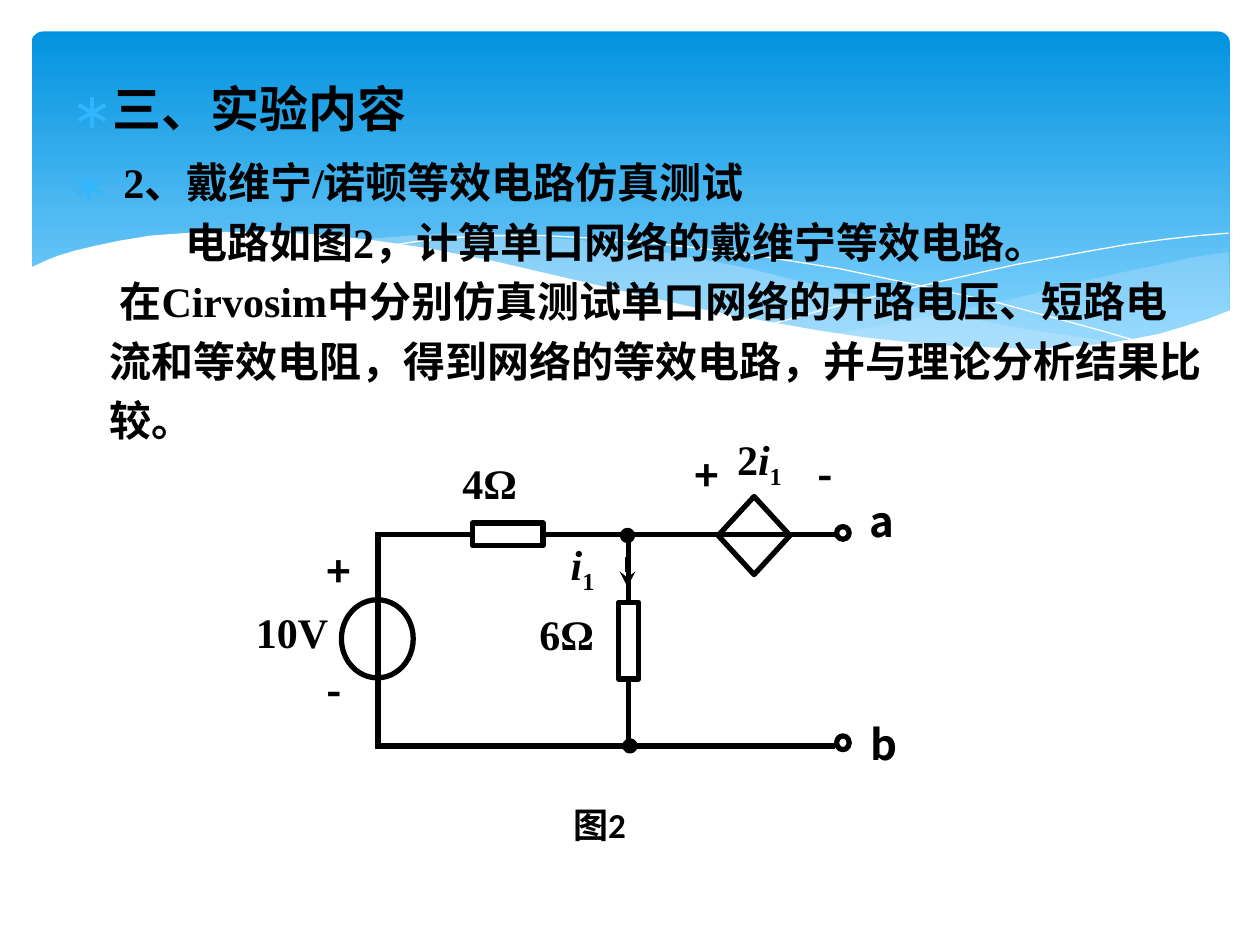
from lxml import etree
from pptx import Presentation
from pptx.dml.color import RGBColor
from pptx.enum.shapes import MSO_CONNECTOR, MSO_SHAPE
from pptx.enum.text import MSO_ANCHOR, MSO_AUTO_SIZE, PP_ALIGN
from pptx.oxml.ns import qn
from pptx.util import Inches, Pt

STRAIGHT = MSO_CONNECTOR.STRAIGHT
ROUNDED, RECT = MSO_SHAPE.ROUNDED_RECTANGLE, MSO_SHAPE.RECTANGLE
OVAL, DIAMOND = MSO_SHAPE.OVAL, MSO_SHAPE.DIAMOND
TOP, FIT_SHAPE, JUSTIFY = MSO_ANCHOR.TOP, MSO_AUTO_SIZE.SHAPE_TO_FIT_TEXT, PP_ALIGN.JUSTIFY

THEME = {
    "ink": "000000", "paper": "FFFFFF", "bullet": "31B6FD", "wave": "C6E7FC",
    "banner": ("0293E0", "83D3FE"),
    "cjk": "Noto Sans CJK SC", "serif": "Times New Roman", "sans": "Calibri",
    "title": 28, "body": 24, "caption": 20, "wire": 3, "leading": 34,
}

# Wave points are in hundredths of an inch.
WAVES = [
    ([(975, 200), (948, 204), (921, 210), (891, 216), (861, 223), (805, 237), (753, 248),
      (706, 257), (661, 265), (691, 269), (719, 272), (745, 275), (769, 277), (803, 278),
      (835, 277), (863, 275), (889, 272), (913, 267), (935, 262), (949, 257), (963, 252),
      (976, 247)], "wave", 29),
    ([(893, 273), (866, 269), (807, 260), (741, 247), (668, 231), (629, 222), (598, 214),
      (569, 208), (541, 203), (514, 198), (489, 194), (465, 191), (442, 189), (399, 186),
      (361, 185), (328, 187), (299, 189), (286, 191), (323, 196), (362, 203), (404, 211),
      (449, 222), (491, 232), (530, 240), (566, 248), (601, 255), (634, 261), (665, 266),
      (695, 270), (722, 274), (748, 276), (785, 278), (828, 278), (867, 276)], "wave", 40),
    ([(309, 195), (328, 192), (353, 189), (387, 187), (433, 187), (469, 189), (510, 192),
      (556, 197), (608, 204), (665, 213), (727, 226), (795, 241), (869, 261), (907, 272)],
     None, None),
    ([(613, 257), (653, 246), (695, 235), (748, 223), (806, 210), (866, 199), (895, 194),
      (924, 190), (951, 187), (975, 185)], None, None),
    ([(977, 246), (959, 253), (940, 259), (920, 265), (899, 269), (875, 273), (850, 275),
      (823, 277), (793, 276), (761, 275), (726, 272), (688, 268), (648, 262), (603, 254),
      (555, 245), (503, 233), (447, 220), (391, 207), (340, 197), (292, 190), (250, 186),
      (211, 184), (177, 184), (146, 185), (119, 187), (95, 191), (76, 195), (59, 199),
      (46, 203), (36, 207), (23, 213), (23, 329), (977, 329)], "paper", 100),
]

PARAGRAPHS = [
    {"text": "三、实验内容", "size": "title", "font": "cjk", "margin": 0.3, "indent": -0.3,
     "bullet": True, "after": 6},
    {"text": "2、戴维宁/诺顿等效电路仿真测试", "size": "body", "font": "serif",
     "margin": 0.41, "indent": -0.41, "bullet": True},
    {"text": "电路如图2，计算单口网络的戴维宁等效电路。", "size": "body", "font": "serif",
     "margin": 0.3, "indent": 0.6},
    {"text": "在Cirvosim中分别仿真测试单口网络的开路电压、短路电流和等效电阻，"
             "得到网络的等效电路，并与理论分析结果比较。",
     "size": "body", "font": "serif", "margin": 0.3, "indent": 0.08},
]

UPPER, LOWER, LEFT, BRANCH, PORT = 4.24, 5.92, 3, 4.99, 6.63

PARTS = {
    "series resistor": (RECT, 3.75, 4.15, 0.56, 0.18, "paper"),
    "branch resistor": (RECT, 4.91, 4.78, 0.16, 0.61, "paper"),
    "voltage source": (OVAL, 2.71, 4.76, 0.57, 0.62, None),
    "dependent source": (DIAMOND, 5.7, 3.94, 0.57, 0.62, None),
    "upper node": (OVAL, 4.94, 4.21, 0.08, 0.08, "ink"),
    "lower node": (OVAL, 4.96, 5.88, 0.08, 0.08, "ink"),
    "port a": (OVAL, 6.64, 4.18, 0.1, 0.1, None),
    "port b": (OVAL, 6.64, 5.84, 0.1, 0.11, None),
}

WIRES = [
    ((2.98, UPPER), (3.75, UPPER), None, ("series resistor", 1)),
    ((4.31, UPPER), (PORT, UPPER), ("series resistor", 3), None),
    ((2.98, LOWER), (PORT, LOWER), None, None),
    ((LEFT, UPPER), (LEFT, LOWER), None, None),
    ((BRANCH, UPPER), (BRANCH, 4.78), None, ("branch resistor", 0)),
    ((BRANCH, 5.39), (BRANCH, LOWER), ("branch resistor", 2), None),
]
CURRENT_ARROW = ((4.98, 4.42), (4.98, 4.66))

LABELS = [
    ("+", 2.59, 4.33, 0.39, 0.42, "cjk"),
    ("-", 2.59, 5.27, 0.39, 0.42, "cjk"),
    ("+", 5.51, 3.57, 0.39, 0.42, "cjk"),
    ("-", 6.49, 3.56, 0.39, 0.42, "cjk"),
    ("a", 6.9, 3.93, 0.39, 0.42, "cjk"),
    ("b", 6.91, 5.7, 0.39, 0.42, "cjk"),
    ("4Ω", 3.67, 3.63, 0.59, 0.46, "serif"),
    ("6Ω", 4.28, 4.83, 0.59, 0.52, "serif"),
    ("10V", 2.03, 4.81, 0.68, 0.52, "serif"),
    (("2", "i", "1"), 5.85, 3.44, 0.49, 0.52, "serif"),
    (("", "i", "1"), 4.53, 4.27, 0.34, 0.52, "serif"),
]


def color(name):
    return RGBColor.from_string(THEME.get(name, name))


def style_run(span, size, font):
    span.font.size, span.font.bold, span.font.name = Pt(THEME[size]), True, THEME[font]
    span.font.color.rgb = color("ink")
    etree.SubElement(span.font._element, qn("a:ea"), typeface=THEME["cjk"])


def add_bullet(properties):
    tint = etree.SubElement(properties, qn("a:buClr"))
    etree.SubElement(tint, qn("a:srgbClr"), val=THEME["bullet"])
    etree.SubElement(properties, qn("a:buFont"), typeface=THEME["cjk"])
    etree.SubElement(properties, qn("a:buChar"), char="∗")


def add_box(page, left, top, width, height, inset=0):
    box = page.shapes.add_textbox(*map(Inches, (left, top, width, height)))
    frame = box.text_frame
    frame.word_wrap, frame.vertical_anchor = True, TOP
    frame.margin_left = frame.margin_right = Inches(inset)
    frame.margin_top = frame.margin_bottom = Inches(inset / 2)
    return frame


def draw_background(page):
    banner = page.shapes.add_shape(ROUNDED, *map(Inches, (0.25, 0.25, 9.51, 2.7)))
    banner.adjustments[0] = 0.034
    banner.shadow.inherit = False
    banner.line.fill.background()
    banner.fill.gradient()
    banner.fill.gradient_angle = 270
    for stop, position, tint in zip(banner.fill.gradient_stops, (0, 0.9), THEME["banner"]):
        stop.position, stop.color.rgb = position, color(tint)
    for points, tint, opacity in WAVES:
        builder = page.shapes.build_freeform(*points[0], scale=Inches(0.01))
        builder.add_line_segments(points[1:], close=tint is not None)
        wave = builder.convert_to_shape()
        wave.shadow.inherit = False
        if tint is None:
            wave.fill.background()
            wave.line.color.rgb, wave.line.width = color("paper"), Pt(0)
            continue
        wave.line.fill.background()
        wave.fill.solid()
        wave.fill.fore_color.rgb = color(tint)
        if opacity < 100:
            value = wave._element.spPr.find(".//" + qn("a:srgbClr"))
            etree.SubElement(value, qn("a:alpha"), val=str(opacity * 1000))


def draw_body(page):
    frame = add_box(page, 0.47, 0.62, 9.18, 2.99, 0.1)
    frame.margin_top = frame.margin_bottom = 0
    for index, item in enumerate(PARAGRAPHS):
        para = frame.add_paragraph() if index else frame.paragraphs[0]
        para.text = item["text"]
        properties = para._p.get_or_add_pPr()
        properties.set("marL", str(Inches(item["margin"])))
        properties.set("indent", str(Inches(item["indent"])))
        if item.get("bullet"):
            add_bullet(properties)
        if index:
            para.line_spacing = Pt(THEME["leading"])
        para.space_after = Pt(item.get("after", 0))
        style_run(para.runs[0], item["size"], item["font"])


def add_wire(page, start, end):
    wire = page.shapes.add_connector(STRAIGHT, *map(Inches, start + end))
    wire.line.color.rgb, wire.line.width = color("ink"), Pt(THEME["wire"])
    etree.SubElement(wire._element.spPr, qn("a:effectLst"))
    return wire


def draw_circuit(page):
    parts = {}
    for name, (kind, left, top, width, height, fill) in PARTS.items():
        part = page.shapes.add_shape(kind, *map(Inches, (left, top, width, height)))
        part.shadow.inherit = False
        part.line.color.rgb, part.line.width = color("ink"), Pt(THEME["wire"])
        if fill:
            part.fill.solid()
            part.fill.fore_color.rgb = color(fill)
        else:
            part.fill.background()
        parts[name] = part
    for start, end, source, target in WIRES:
        wire = add_wire(page, start, end)
        if source:
            wire.begin_connect(parts[source[0]], source[1])
        if target:
            wire.end_connect(parts[target[0]], target[1])
    arrow = add_wire(page, *CURRENT_ARROW)
    etree.SubElement(arrow.line._get_or_add_ln(), qn("a:tailEnd"), type="stealth")


def draw_labels(page):
    for content, left, top, width, height, font in LABELS:
        para = add_box(page, left, top, width, height).paragraphs[0]
        para.alignment = JUSTIFY
        pieces = (content,) if isinstance(content, str) else content
        for position, piece in enumerate(pieces):
            if not piece:
                continue
            span = para.add_run()
            span.text = piece
            style_run(span, "body", font)
            span.font.italic = position == 1
            if position == 2:
                span.font._element.set("baseline", "-25000")
    frame = add_box(page, 4.45, 6.33, 0.71, 0.44, 0.1)
    frame.word_wrap, frame.auto_size = False, FIT_SHAPE
    frame.text = "图2"
    style_run(frame.paragraphs[0].runs[0], "caption", "sans")


def main():
    deck = Presentation()
    deck.slide_width, deck.slide_height = Inches(10), Inches(7.5)
    page = deck.slides.add_slide(deck.slide_layouts[6])
    draw_background(page)
    draw_body(page)
    draw_circuit(page)
    draw_labels(page)
    deck.save("out.pptx")


if __name__ == "__main__":
    main()
